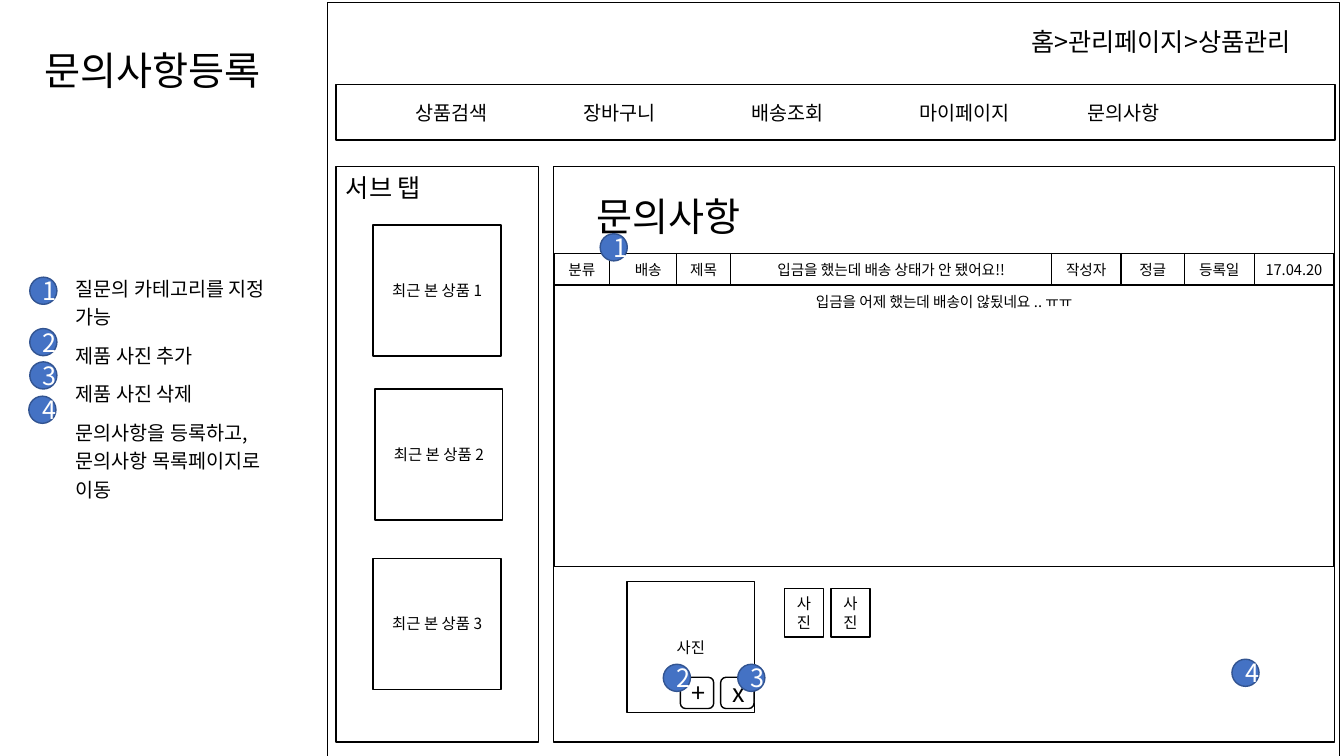
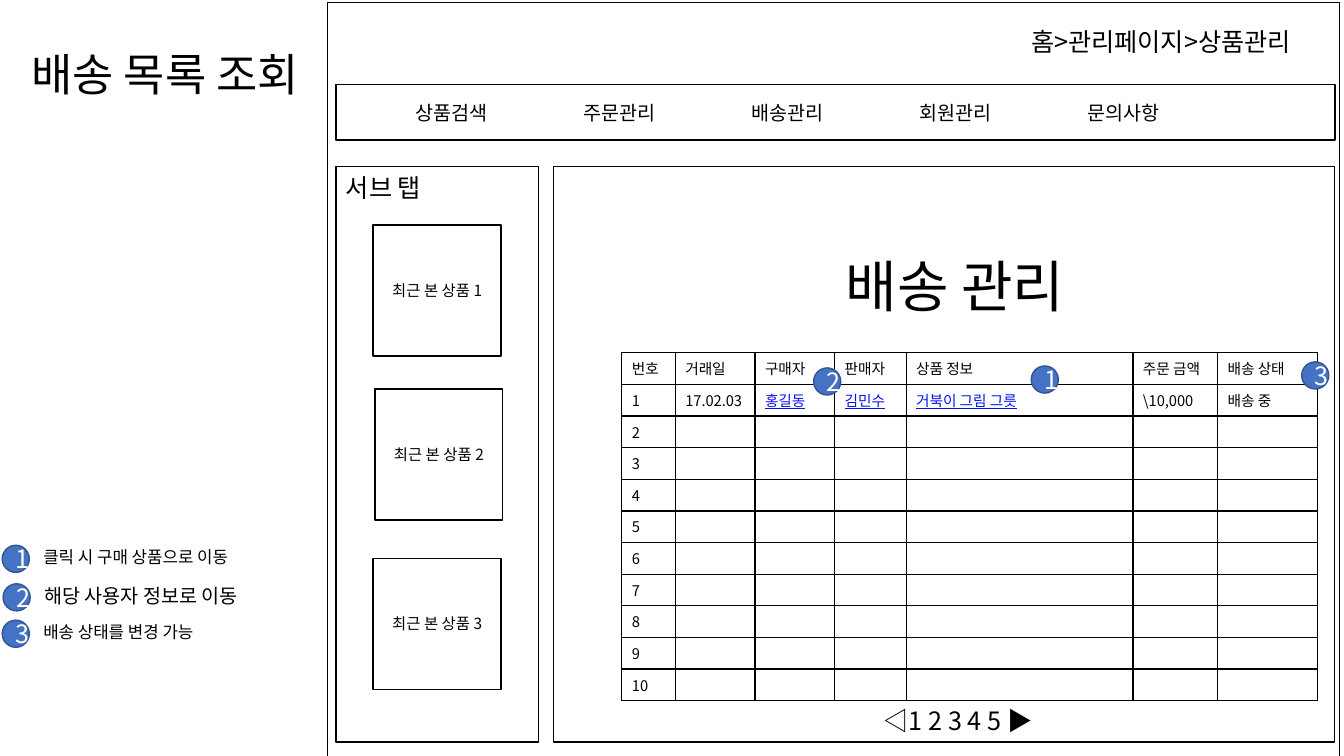
from dataclasses import dataclass

from lxml import etree
from pptx import Presentation
from pptx.dml import color
from pptx.enum import shapes, text
from pptx.oxml import ns
from pptx.util import Pt

FONT = "Noto Sans CJK KR"
BLACK, WHITE, BLUE, NAVY, LINK = "000000", "FFFFFF", "4472C4", "325491", "0611F2"
LEFT, MID = text.PP_ALIGN.LEFT, text.PP_ALIGN.CENTER
RECT = shapes.MSO_SHAPE.RECTANGLE
ROUND = shapes.MSO_SHAPE.ROUNDED_RECTANGLE
OVAL = shapes.MSO_SHAPE.OVAL
TILE = (91.4, 93.6)
ROW = 22.6


@dataclass
class Box:
    x: float
    y: float
    w: float
    h: float
    words: str = ""
    size: float = 11
    kind: int = RECT
    weight: float = 1


@dataclass
class Label:
    x: float
    y: float
    w: float
    h: float
    words: str
    size: float = 18
    align: int = LEFT


@dataclass
class Dot:
    num: int
    x: float
    y: float


@dataclass
class Grid:
    x: float
    y: float
    cols: list[float]
    rows: list[float]
    cells: list[list[str]]
    size: float = 10.5
    align: int = LEFT
    ruled: bool = True


def rgb(value: str) -> color.RGBColor:
    return color.RGBColor.from_string(value)


def write(para, words: str, size: float, tint: str = BLACK, align: int = LEFT,
          under: bool = False) -> None:
    """Fill one paragraph; an empty one still keeps its text size."""
    para.alignment = align
    if not words:
        end = etree.SubElement(para._p, ns.qn("a:endParaRPr"))
        end.set("sz", str(int(size * 100)))
        for tag in ("a:latin", "a:ea"):
            etree.SubElement(end, ns.qn(tag)).set("typeface", FONT)
        return
    run = para.add_run()
    run.text = words
    for key, val in {"name": FONT, "size": Pt(size), "underline": under}.items():
        setattr(run.font, key, val)
    run.font.color.rgb = rgb(tint)
    latin = run._r.rPr.find(ns.qn("a:latin"))
    east = etree.Element(ns.qn("a:ea"))
    east.set("typeface", FONT)
    latin.addnext(east)


def draw(slide, box: Box, fill: str = WHITE, line: str = BLACK, tint: str = BLACK):
    shape = slide.shapes.add_shape(box.kind, Pt(box.x), Pt(box.y), Pt(box.w), Pt(box.h))
    shape.shadow.inherit = False
    shape.fill.solid()
    shape.fill.fore_color.rgb = rgb(fill)
    shape.line.color.rgb = rgb(line)
    shape.line.width = Pt(box.weight)
    frame = shape.text_frame
    frame.word_wrap = True
    frame.vertical_anchor = text.MSO_ANCHOR.MIDDLE
    if box.words:
        write(frame.paragraphs[0], box.words, box.size, tint, MID)
    return shape


def label(slide, item: Label) -> None:
    shape = slide.shapes.add_textbox(Pt(item.x), Pt(item.y), Pt(item.w), Pt(item.h))
    shape.text_frame.word_wrap = True
    write(shape.text_frame.paragraphs[0], item.words, item.size, align=item.align)


def dots(slide, items: list[Dot]) -> None:
    for dot in items:
        draw(slide, Box(dot.x, dot.y, 19.4, 19.4, str(dot.num), 18, OVAL), BLUE, NAVY, WHITE)


def rule(cell) -> None:
    """Put a black line on all four sides of a cell."""
    props = cell._tc.get_or_add_tcPr()
    for side in ("a:lnL", "a:lnR", "a:lnT", "a:lnB"):
        edge = etree.SubElement(props, ns.qn(side))
        edge.set("w", str(Pt(1)))
        solid = etree.SubElement(edge, ns.qn("a:solidFill"))
        etree.SubElement(solid, ns.qn("a:srgbClr")).set("val", BLACK)


def table(slide, grid: Grid, links: tuple = ()):
    """Draw a grid; links holds the (row, column) of underlined cells."""
    shape = slide.shapes.add_table(len(grid.rows), len(grid.cols), Pt(grid.x), Pt(grid.y),
                                   Pt(sum(grid.cols)), Pt(sum(grid.rows)))
    made = shape.table
    made.first_row = made.horz_banding = False
    for col, wide in zip(made.columns, grid.cols):
        col.width = Pt(wide)
    for r, high in enumerate(grid.rows):
        made.rows[r].height = Pt(high)
        for c in range(len(grid.cols)):
            cell = made.cell(r, c)
            if grid.ruled:
                rule(cell)
                cell.fill.solid()
                cell.fill.fore_color.rgb = rgb(WHITE)
            else:
                cell.fill.background()
            words = grid.cells[r][c] if c < len(grid.cells[r]) else ""
            link = (r, c) in links
            write(cell.text_frame.paragraphs[0], words, grid.size,
                  LINK if link else BLACK, grid.align, link)
    return made


def menu(slide, names: list[str]) -> None:
    """Draw the menu bar with its entries on even tab stops."""
    bar = draw(slide, Box(240, 60.5, 713.5, 39.6))
    bar.text_frame.margin_left = Pt(56.5)
    para = bar.text_frame.paragraphs[0]
    stops = etree.SubElement(para._p.get_or_add_pPr(), ns.qn("a:tabLst"))
    for k in range(1, len(names)):
        stop = etree.SubElement(stops, ns.qn("a:tab"))
        stop.set("pos", str(Pt(120 * k)))
        stop.set("algn", "l")
    write(para, "\t".join(names), 14)


def page(deck, title: Label, names: list[str]):
    """Add a slide with the frame, menu and side panel that all pages share."""
    slide = deck.slides.add_slide(deck.slide_layouts[6])
    draw(slide, Box(234, 2, 723, 541.5, weight=0))
    draw(slide, Box(240, 119, 144.7, 411))
    label(slide, Label(240, 119.4, 75, 29.5, "서브 탭"))
    label(slide, Label(729.4, 15, 222, 29.5, "홈>관리페이지>상품관리"))
    draw(slide, Box(395.3, 119, 558, 411))
    for k, (x, y) in enumerate([(266.6, 160.6), (267.8, 278), (266.6, 398.8)], 1):
        draw(slide, Box(x, y, *TILE, f"최근 본 상품 {k}"))
    label(slide, title)
    menu(slide, names)
    return slide


def ask(deck) -> None:
    slide = page(deck, Label(24.5, 29.5, 187, 56, "문의사항등록", 28),
                 ["상품검색", "장바구니", "배송조회", "마이페이지", "문의사항"])
    label(slide, Label(419, 133.5, 122.4, 56, "문의사항", 28))
    post = table(slide, Grid(
        396, 181, [39.2, 48, 38.9, 229, 49.7, 45.4, 49.7, 56.9], [ROW, 200.9],
        [["분류", "배송", "제목", "입금을 했는데 배송 상태가 안 됐어요!!",
          "작성자", "정글", "등록일", "17.04.20"],
         ["입금을 어제 했는데 배송이 않됬네요 .. ㅠㅠ"]], align=MID))
    post.cell(0, 1).margin_left = Pt(15)
    post.cell(1, 0).merge(post.cell(1, 7))
    draw(slide, Box(447.8, 415.4, *TILE, "사진"))
    for x, sign in ((486, "+"), (514.8, "x")):
        draw(slide, Box(x, 483.8, 23.8, 22.3, sign, 18, ROUND))
    for x in (560.2, 593.5):
        draw(slide, Box(x, 420.5, 28.1, 34.6, "사진"))
    dots(slide, [Dot(1, 21.3, 198), Dot(2, 21.3, 234.7), Dot(3, 21.3, 258.5),
                 Dot(4, 20.6, 283), Dot(1, 428.7, 167), Dot(2, 473.8, 474.5),
                 Dot(3, 527, 474.5), Dot(4, 880, 470.9)])
    notes = ["질문의 카테고리를 지정 가능", "제품 사진 추가", "제품 사진 삭제",
             "문의사항을 등록하고, 문의사항 목록페이지로 이동"]
    table(slide, Grid(46.8, 191.5, [168], [48, 27.6, 27.6, 70],
                      [[note] for note in notes], 14, ruled=False))


def ship(deck) -> None:
    slide = page(deck, Label(3, 29.5, 230, 56, "배송 목록 조회", 32, MID),
                 ["상품검색", "주문관리", "배송관리", "회원관리", "문의사항"])
    head = ["번호", "거래일", "구매자", "판매자", "상품 정보", "주문 금액", "배송 상태"]
    first = ["1", "17.02.03", "홍길동", "김민수", "거북이 그림 그릇", r"\10,000", "배송 중"]
    table(slide, Grid(444.2, 252, [38.2, 56.9, 56.9, 51.1, 162, 60.5, 71.3], [ROW] * 11,
                      [head, first] + [[str(n)] for n in range(2, 11)]),
          ((1, 2), (1, 3), (1, 4)))
    label(slide, Label(597, 176.4, 175, 56, "배송 관리", 40))
    label(slide, Label(624.2, 500, 131.8, 29.5, "◁1 2 3 4 5 ▶"))
    for note in (Label(23.8, 387, 195, 21.6, "클릭 시 구매 상품으로 이동", 12),
                 Label(24.5, 413.3, 195, 24.5, "해당 사용자 정보로 이동", 14),
                 Label(23.8, 440.4, 195, 21.6, "배송 상태를 변경 가능", 12)):
        label(slide, note)
    dots(slide, [Dot(1, 1.6, 389.5), Dot(2, 2.2, 417), Dot(3, 1.6, 443),
                 Dot(1, 736.6, 261.4), Dot(2, 581.2, 262.8), Dot(3, 929.8, 258.5)])


def main() -> None:
    deck = Presentation()
    deck.slide_width, deck.slide_height = Pt(960), Pt(540)
    ask(deck)
    ship(deck)
    deck.save("out.pptx")


if __name__ == "__main__":
    main()
